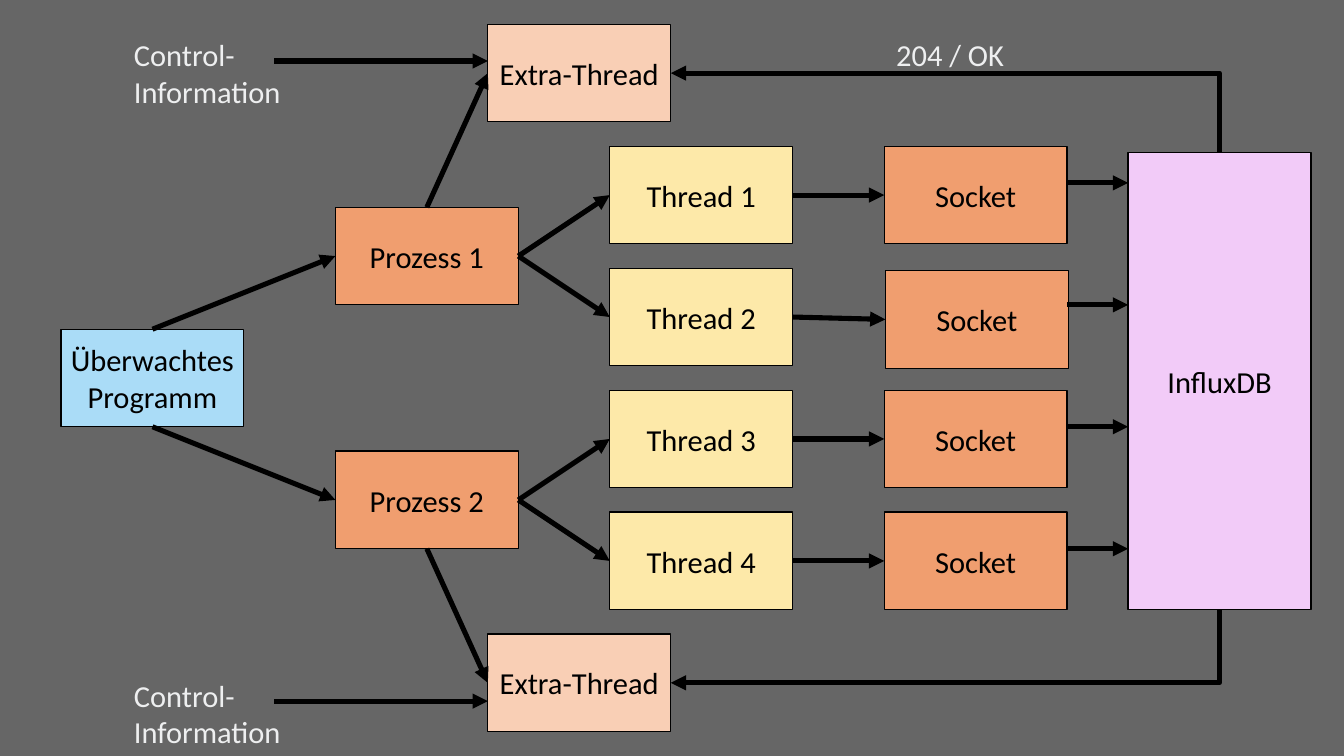
from lxml import etree
from pptx import Presentation
from pptx.dml.color import RGBColor
from pptx.enum.shapes import MSO_CONNECTOR, MSO_SHAPE
from pptx.enum.text import MSO_ANCHOR, PP_ALIGN
from pptx.oxml.ns import qn
from pptx.util import Emu, Pt

STRAIGHT, ELBOW = MSO_CONNECTOR.STRAIGHT, MSO_CONNECTOR.ELBOW
RECTANGLE = MSO_SHAPE.RECTANGLE
MIDDLE = MSO_ANCHOR.MIDDLE
LEFT_ALIGN, CENTER = PP_ALIGN.LEFT, PP_ALIGN.CENTER
TOP, LEFT, BOTTOM, RIGHT = range(4)

EMU_PER_PX = 9144  # 100 px to the inch
NODE_W, NODE_H = 150, 80
ROW_STEP = 100
COLORS = {
    "background": "666666",
    "ink": "000000",
    "label": "EEEFF0",
    "program": "AADCF7",
    "process": "F09E6F",
    "thread": "FDE9A9",
    "extra": "F9CFB5",
    "database": "F2CBF8",
}


def px(length):
    return Emu(length * EMU_PER_PX)


def rgb(name):
    return RGBColor.from_string(COLORS[name])


def write_text(frame, lines, color, align):
    paragraph = frame.paragraphs[0]
    paragraph.alignment = align
    for number, line in enumerate(lines):
        if number:
            paragraph.add_line_break()
        run = paragraph.add_run()
        run.text = line
        run.font.name = "Calibri"
        run.font.size = Pt(18)
        run.font.color.rgb = rgb(color)


def add_node(slide, left, top, fill, *lines, height=NODE_H):
    node = slide.shapes.add_shape(RECTANGLE, px(left), px(top), px(NODE_W), px(height))
    node.shadow.inherit = False
    node.fill.solid()
    node.fill.fore_color.rgb = rgb(fill)
    node.line.color.rgb = rgb("ink")
    node.line.width = Pt(0)
    node.text_frame.word_wrap = False
    node.text_frame.vertical_anchor = MIDDLE
    write_text(node.text_frame, lines, "ink", CENTER)
    return node


def add_label(slide, left, top, height, text):
    label = slide.shapes.add_textbox(px(left), px(top), px(200), px(height))
    label.text_frame.word_wrap = True
    write_text(label.text_frame, [text], "label", LEFT_ALIGN)


def add_arrow(slide, start=(0, 0), end=(0, 0), kind=STRAIGHT):
    arrow = slide.shapes.add_connector(kind, *map(px, (*start, *end)))
    arrow.line.color.rgb = rgb("ink")
    arrow.line.width = Pt(3)
    outline = arrow.line._get_or_add_ln()
    etree.SubElement(outline, qn("a:tailEnd"), type="triangle")
    etree.SubElement(arrow._element.spPr, qn("a:effectLst"))
    return arrow


def join(slide, source, source_side, target, target_side, kind=STRAIGHT):
    arrow = add_arrow(slide, kind=kind)
    arrow.begin_connect(source, source_side)
    arrow.end_connect(target, target_side)
    return arrow


def add_reply_arrow(slide, database, database_side, extra):
    """Leave the database vertically, turn once and enter the extra thread."""
    arrow = join(slide, database, database_side, extra, RIGHT, ELBOW)
    center_x = arrow.left + arrow.width // 2
    center_y = arrow.top + arrow.height // 2
    span, rise = arrow.width, arrow.height
    arrow.width, arrow.height = rise, span
    arrow.left, arrow.top = center_x - rise // 2, center_y - span // 2

    properties = arrow._element.spPr
    properties.find(qn("a:prstGeom")).set("prst", "bentConnector2")
    frame = properties.find(qn("a:xfrm"))
    for flip in ("flipH", "flipV"):
        frame.attrib.pop(flip, None)
    upward = database_side == TOP
    frame.set("rot", str((270 if upward else 90) * 60000))
    if upward:
        frame.set("flipV", "1")


def draw_thread_row(slide, left, top, process, number, socket_shift):
    """Draw one thread with its socket and the arrow into the database."""
    shift_x, shift_y = socket_shift
    thread = add_node(slide, left, top, "thread", f"Thread {number}")
    socket = add_node(slide, left + 225 + shift_x, top + shift_y, "process", "Socket")
    join(slide, process, RIGHT, thread, LEFT)
    join(slide, thread, RIGHT, socket, LEFT)
    add_arrow(slide, (left + 375, top + 30), (left + 425, top + 30))


def draw_process(slide, left, top, number, program, program_side):
    """Draw a process that feeds two thread rows."""
    process = add_node(slide, left, top + 50, "process", f"Prozess {number}")
    join(slide, program, program_side, process, LEFT)
    for row in range(2):
        thread_number = 2 * number - 1 + row
        shift = (1, 2) if thread_number == 2 else (0, 0)
        draw_thread_row(slide, left + 225, top + row * ROW_STEP, process,
                        thread_number, shift)
    return process


def draw_extra_thread(slide, left, top, process, side, database, control_y, label_y):
    """Draw an extra thread with its control input and database reply."""
    extra = add_node(slide, left + 300, top, "extra", "Extra-Thread")
    join(slide, process, side, extra, LEFT)
    add_reply_arrow(slide, database, side, extra)
    add_arrow(slide, (left + 125, top + control_y), (left + 300, top + control_y))
    add_label(slide, left, top + label_y, 71, "Control-Information")


def main():
    presentation = Presentation()
    presentation.slide_width, presentation.slide_height = px(1102), px(620)
    slide = presentation.slides.add_slide(presentation.slide_layouts[6])
    slide.background.fill.solid()
    slide.background.fill.fore_color.rgb = rgb("background")

    program = add_node(slide, 50, 270, "program", "Überwachtes", "Programm")
    database = add_node(slide, 925, 125, "database", "InfluxDB", height=375)
    branches = [
        # side, process top, extra thread top, control arrow, control label
        (TOP, 120, 20, 30, 5),
        (BOTTOM, 320, 520, 55, 30),
    ]
    for number, (side, top, extra_top, control_y, label_y) in enumerate(branches, 1):
        process = draw_process(slide, 275, top, number, program, side)
        draw_extra_thread(slide, 100, extra_top, process, side, database,
                          control_y, label_y)
    add_label(slide, 725, 25, 40, "204 / OK")
    presentation.save("out.pptx")


if __name__ == "__main__":
    main()
